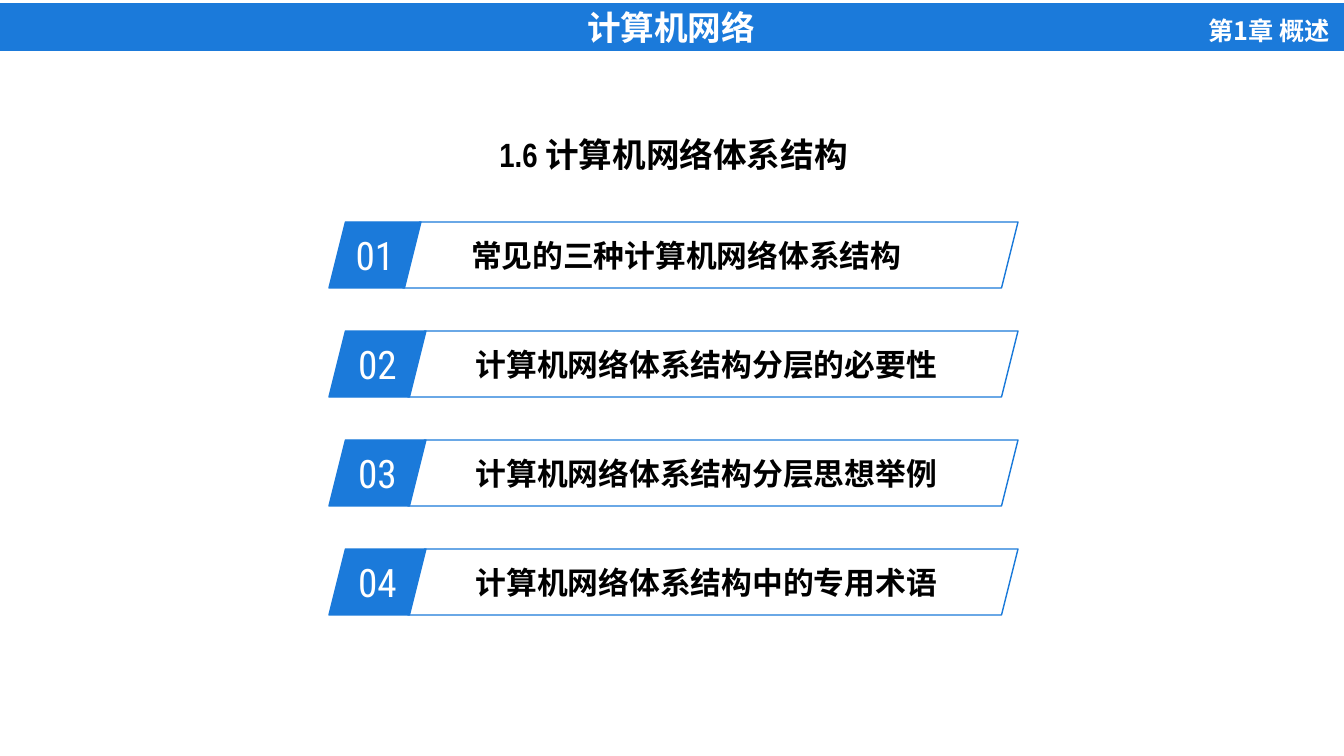
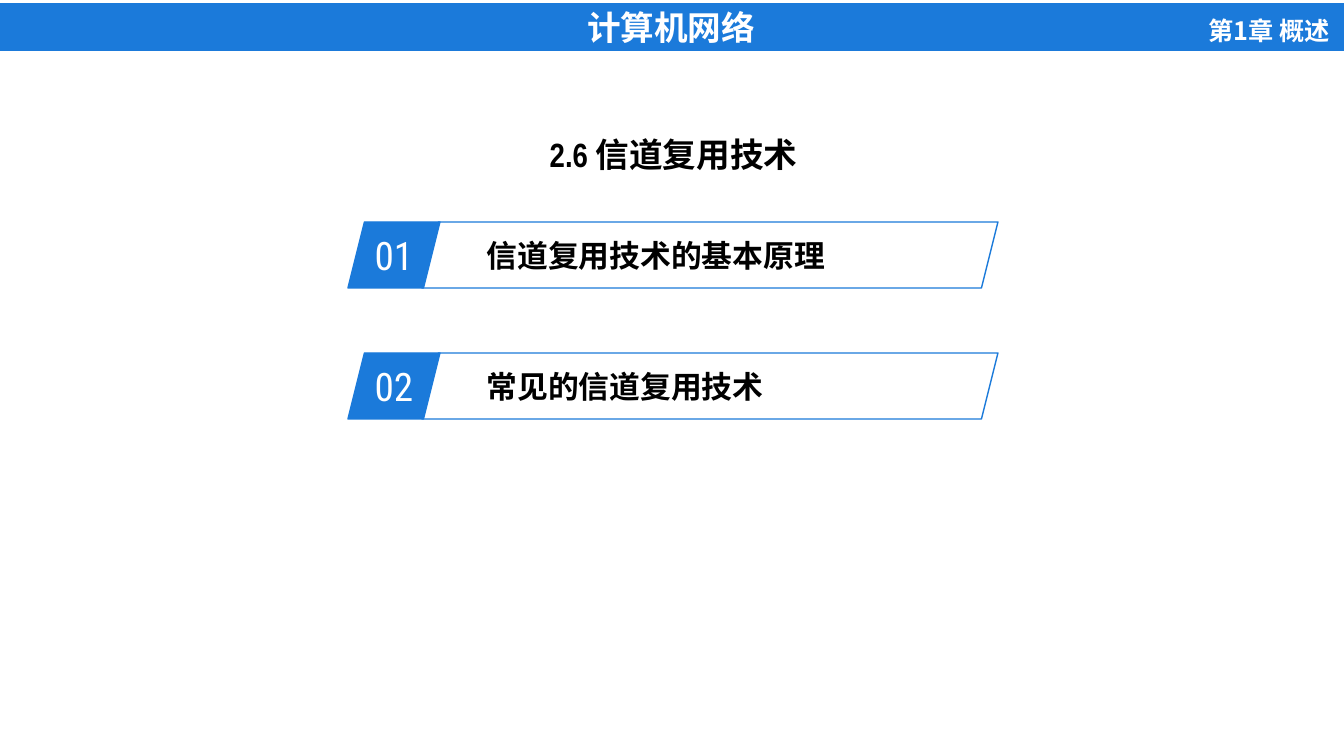
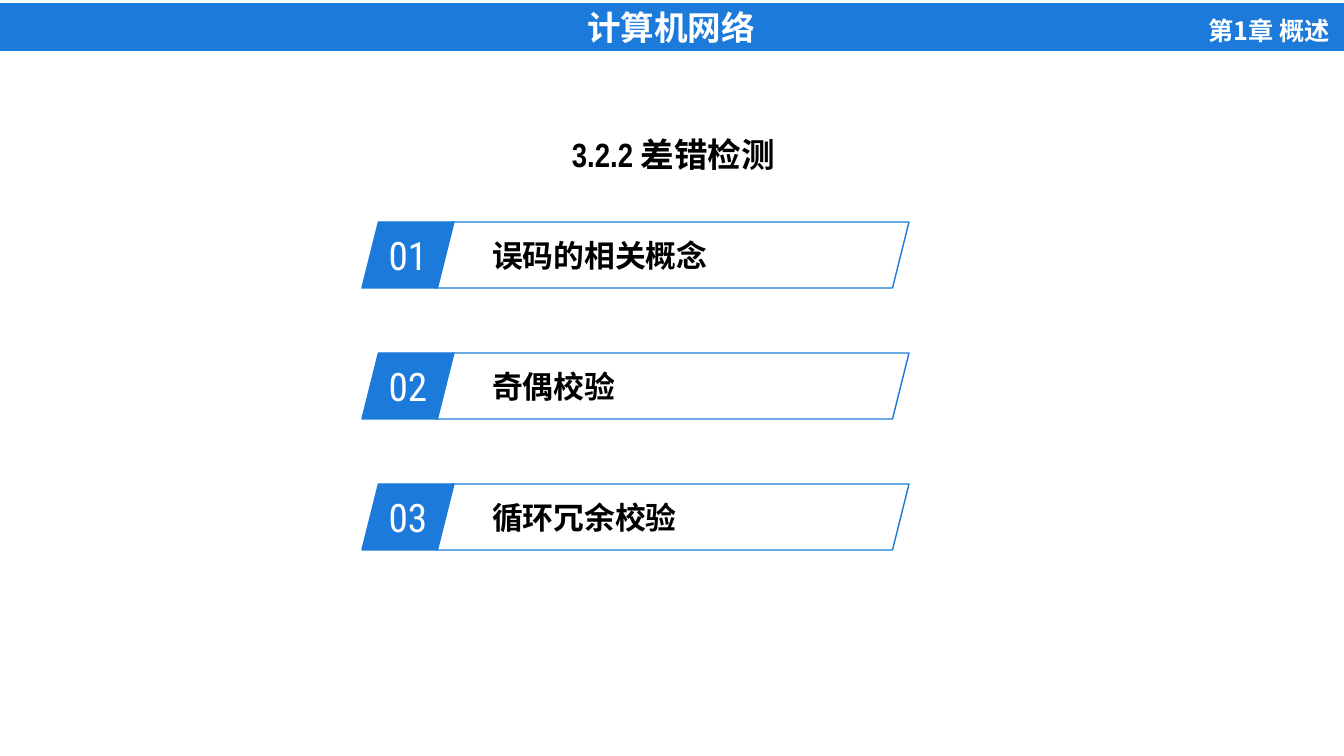
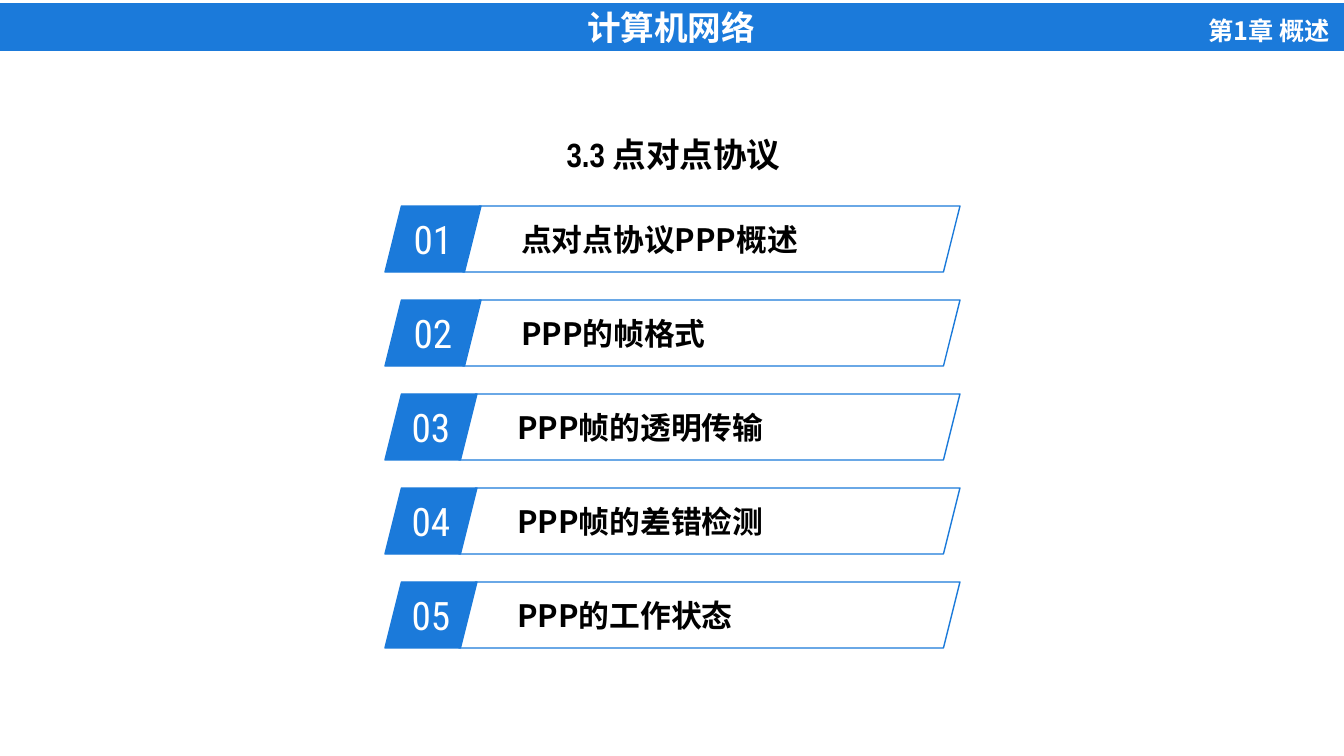
from lxml import etree
from pptx import Presentation
from pptx.dml.color import RGBColor
from pptx.enum.lang import MSO_LANGUAGE_ID
from pptx.enum.shapes import MSO_SHAPE
from pptx.enum.text import MSO_ANCHOR, MSO_AUTO_SIZE, PP_ALIGN
from pptx.oxml.ns import qn
from pptx.util import Pt

PX = 12192000 / 1344
COLORS = {"blue": "1B7ADA", "white": "FFFFFF", "black": "000000"}
NARROW, CJK, CONDENSED = "Arial Narrow", "Noto Sans CJK SC", "Roboto Condensed"

# Text styles
STYLES = {
    "course": {"name": NARROW, "size": Pt(24), "bold": True, "color": "white"},
    "chapter": {"name": CJK, "size": Pt(18), "bold": True, "color": "white"},
    "title": {"name": NARROW, "size": Pt(24), "bold": True, "color": "black"},
    "number": {"name": CONDENSED, "size": Pt(28), "bold": False, "color": "white"},
    "label": {"name": CONDENSED, "size": Pt(22), "bold": True, "color": "black"},
    "latin_label": {"name": CJK, "size": Pt(22), "bold": True, "color": "black"},
}

# Agenda of each slide: row geometry in px, then (badge width, text runs)
ROW_H, OVERLAP = 66, 18
AGENDAS = [
    {"title": "1.6 计算机网络体系结构", "left": 329, "right": 1018, "top": 222, "pitch": 109,
     "rows": [(92, [("常见的三种计算机网络体系结构", "label")]),
              (97, [("计算机网络体系结构分层的必要性", "label")]),
              (97, [("计算机网络体系结构分层思想举例", "label")]),
              (97, [("计算机网络体系结构中的专用术语", "label")])]},
    {"title": "2.6 信道复用技术", "left": 348, "right": 998, "top": 222, "pitch": 131,
     "rows": [(92, [("信道复用技术的基本原理", "label")]),
              (92, [("常见的信道复用技术", "label")])]},
    {"title": "3.2.2 差错检测", "left": 362, "right": 909, "top": 222, "pitch": 131,
     "rows": [(92, [("误码的相关概念", "label")]),
              (92, [("奇偶校验", "label")]),
              (92, [("循环冗余校验", "label")])]},
    {"title": "3.3 点对点协议", "left": 385, "right": 960, "top": 206, "pitch": 94,
     "rows": [(96, [("点对点协议", "label"), ("PPP", "latin_label"), ("概述", "label")]),
              (96, [("PPP的帧格式", "latin_label")]),
              (92, [("PPP帧的透明传输", "latin_label")]),
              (92, [("PPP帧的差错检测", "latin_label")]),
              (92, [("PPP的工作状态", "latin_label")])]},
]


def write(sp, runs, align, anchor=MSO_ANCHOR.MIDDLE, wrap=True):
    """Fill the first paragraph of a shape with (text, style) runs."""
    tf = sp.text_frame
    tf.word_wrap, tf.vertical_anchor = wrap, anchor
    p = tf.paragraphs[0]
    p.alignment = align
    for text, style in runs:
        r = p.add_run()
        r.text = text
        r.font.language_id = MSO_LANGUAGE_ID.SIMPLIFIED_CHINESE
        for key, value in STYLES[style].items():
            if key == "color":
                r.font.color.rgb = RGBColor.from_string(COLORS[value])
            else:
                setattr(r.font, key, value)
        etree.SubElement(r._r.get_or_add_rPr(), qn("a:ea"), typeface=CJK)


def add_box(s, kind, left, top, width, height, filled):
    """Add a blue-outlined shape, with or without a blue fill."""
    sp = s.shapes.add_shape(kind, *(round(v * PX) for v in (left, top, width, height)))
    sp.shadow.inherit = False
    blue = RGBColor.from_string(COLORS["blue"])
    if filled:
        sp.fill.solid()
        sp.fill.fore_color.rgb = blue
    else:
        sp.fill.background()
    sp.line.color.rgb = blue
    sp.line.width = Pt(1)
    return sp


prs = Presentation()
prs.slide_width, prs.slide_height = round(1344 * PX), round(756 * PX)
layout = prs.slide_layouts[5]

# Title position, shared through the layout
title = layout.placeholders[0]
for side, value in {"left": 437, "top": 131, "width": 473, "height": 46}.items():
    setattr(title, side, round(value * PX))

for index, agenda in enumerate(AGENDAS):
    s = prs.slides.add_slide(layout)

    # Header band, drawn once and moved into the layout
    if index == 0:
        band = add_box(s, MSO_SHAPE.RECTANGLE, -2, 4, 1346, 46, True)
        write(band, [("计算机网络", "course")], PP_ALIGN.CENTER)
        chapter = s.shapes.add_textbox(*(round(v * PX) for v in (1120, 10, 220, 40)))
        write(chapter, [("第1章 概述", "chapter")], PP_ALIGN.RIGHT, MSO_ANCHOR.TOP)
        for sp in (band, chapter):
            layout.shapes.element.append(sp.element)

    # Title
    write(s.shapes.title, [(agenda["title"], "title")], PP_ALIGN.CENTER)
    s.shapes.title.text_frame.auto_size = MSO_AUTO_SIZE.NONE

    # Numbered rows
    for i, (badge_w, runs) in enumerate(agenda["rows"]):
        top = agenda["top"] + i * agenda["pitch"]
        badge = add_box(s, MSO_SHAPE.PARALLELOGRAM, agenda["left"], top, badge_w, ROW_H, True)
        write(badge, [(f"{i + 1:02d}", "number")], PP_ALIGN.CENTER, wrap=False)
        label_left = agenda["left"] + badge_w - OVERLAP
        label = add_box(s, MSO_SHAPE.PARALLELOGRAM, label_left, top,
                        agenda["right"] - label_left, ROW_H, False)
        write(label, runs, PP_ALIGN.LEFT)

prs.save("out.pptx")
